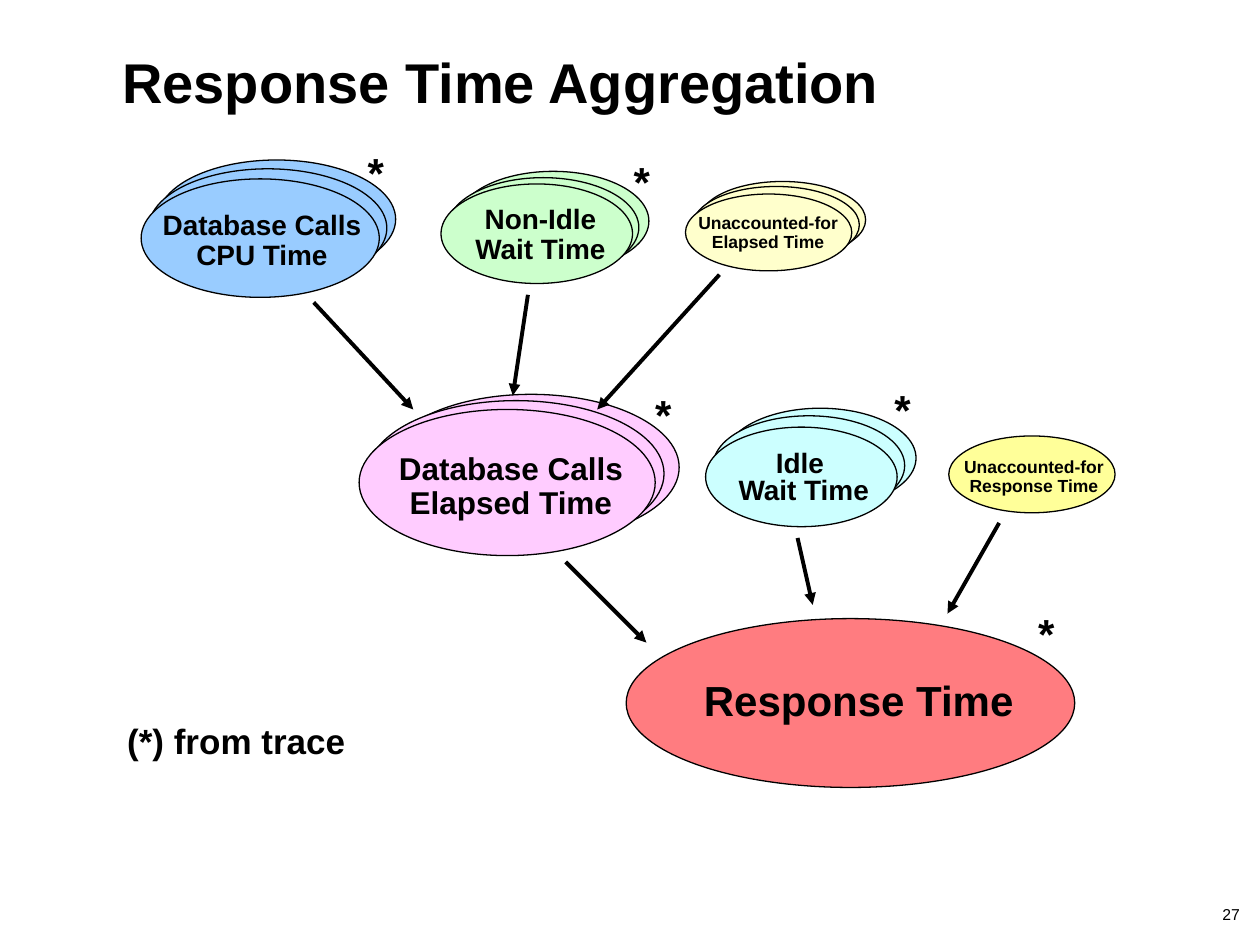
import pptx
import pptx.util
import pptx.dml.color
import pptx.enum.shapes
import pptx.enum.text
import pptx.oxml
import pptx.oxml.ns
from lxml import etree

COLORS = {
    "ink": "000000", "cpu": "99CCFF", "wait": "CCFFCC", "gap": "FFFFCC",
    "elapsed": "FFCCFF", "idle": "CCFFFF", "rest": "FFFF99", "response": "FF7C80",
}
ALIGN = pptx.enum.text.PP_ALIGN
ANCHOR = pptx.enum.text.MSO_ANCHOR

presentation = pptx.Presentation()
presentation.slide_width = pptx.util.Inches(10)
presentation.slide_height = pptx.util.Inches(7.5)
slide = presentation.slides.add_slide(presentation.slide_layouts[6])

# The grid has 100 columns and 75 rows of square cells.
CELL = presentation.slide_width / 100


def grid(*cells):
    """Turn grid columns and rows into slide lengths."""
    return [pptx.util.Emu(round(cell * CELL)) for cell in cells]


def add_text(box, lines, size, bold=True, align=ALIGN.CENTER, spacing=0.9,
             before=0, margins=(1, 0.5, 1, 0.5), anchor=ANCHOR.TOP):
    """Add a text box with one paragraph for each line."""
    frame = slide.shapes.add_textbox(*grid(*box)).text_frame
    frame.word_wrap = True
    frame.vertical_anchor = anchor
    (frame.margin_left, frame.margin_top,
     frame.margin_right, frame.margin_bottom) = grid(*margins)
    for index, line in enumerate(lines):
        paragraph = frame.add_paragraph() if index else frame.paragraphs[0]
        paragraph.alignment = align
        paragraph.line_spacing = spacing
        paragraph.space_before = pptx.util.Pt(before)
        run = paragraph.add_run()
        run.text = line
        run.font.name = "Arial"
        run.font.size = pptx.util.Pt(size)
        run.font.bold = bold
        run.font.color.rgb = pptx.dml.color.RGBColor.from_string(COLORS["ink"])


# Color, front ellipse, offsets of the ellipses behind it from back to front
stacks = [
    ("idle", (56, 33.9, 15.2, 7.9), [(1.5, -1.5), (0.6, -0.9)]),
    ("elapsed", (28.5, 32.5, 23.5, 11.6), [(1.9, -1.2), (0.7, -0.7)]),
    ("gap", (54.4, 15.4, 13.2, 6.1), [(1.1, -1), (0.6, -0.6)]),
    ("wait", (35, 14.6, 15.2, 7.9), [(1.3, -1), (0.5, -0.5)]),
    ("cpu", (11.2, 14.2, 18.9, 9.4), [(1.3, -1.5), (0.6, -0.8)]),
    ("response", (49.7, 49.1, 35.6, 13.4), []),
    ("rest", (75.3, 34.6, 13.2, 6.1), []),
]
for color, (left, top, width, height), offsets in stacks:
    for right, down in offsets + [(0, 0)]:
        ellipse = slide.shapes.add_shape(
            pptx.enum.shapes.MSO_SHAPE.OVAL,
            *grid(left + right, top + down, width, height))
        ellipse.shadow.inherit = False
        ellipse.fill.solid()
        ellipse.fill.fore_color.rgb = pptx.dml.color.RGBColor.from_string(COLORS[color])
        ellipse.line.color.rgb = pptx.dml.color.RGBColor.from_string(COLORS["ink"])
        ellipse.line.width = pptx.util.Pt(0.75)

add_text((9.7, 3.3, 82.9, 10.3), ["Response Time Aggregation"], 32,
         align=ALIGN.LEFT, spacing=1, margins=(0, 0.5, 0, 0))

labels = [
    ((53.5, 53.5, 29.3, 4.6), "Response Time", 24),
    ((28.4, 35.5, 24.3, 6.4), "Database Calls Elapsed Time", 18),
    ((73.3, 35.9, 17.5, 4), "Unaccounted-for Response Time", 10),
    ((52.2, 16.5, 17.5, 4), "Unaccounted-for Elapsed Time", 10),
    ((11.3, 16.3, 19, 5.8), "Database Calls CPU Time", 16),
    ((35.3, 15.8, 15.2, 5.8), "Non-Idle Wait Time", 16),
    ((7.2, 57, 23.1, 4), "(*) from trace", 20),
]
for box, text, size in labels:
    add_text(box, [text], size)
add_text((55.8, 36.2, 16, 4.5), ["Idle ", "Wait Time"], 16, spacing=0.4, before=8)

arrows = [
    (44.9, 44.6, 51.3, 51), (24.9, 24, 32.8, 32.5), (57.1, 21.8, 47.4, 32.5),
    (79.3, 41.5, 75.2, 48.7), (63.3, 42.7, 64.5, 48), (41.9, 23.4, 40.7, 31.4),
]
for ends in arrows:
    arrow = slide.shapes.add_connector(
        pptx.enum.shapes.MSO_CONNECTOR.STRAIGHT, *grid(*ends))
    arrow.line.color.rgb = pptx.dml.color.RGBColor.from_string(COLORS["ink"])
    arrow.line.width = pptx.util.Pt(2.25)
    etree.SubElement(arrow.line._get_or_add_ln(),
                     pptx.oxml.ns.qn("a:tailEnd"), type="triangle")
    etree.SubElement(arrow._element.spPr, pptx.oxml.ns.qn("a:effectLst"))

for left, top in [(28.2, 11.6), (49.3, 12.3), (51, 30.8), (70, 30.4), (81.4, 48.2)]:
    add_text((left, top, 3.2, 4.6), ["*"], 24)

add_text((1.7, 71.7, 96.7, 1.7), ["27"], 9, bold=False, align=ALIGN.RIGHT,
         spacing=1, margins=(0, 0, 0, 0), anchor=ANCHOR.MIDDLE)

presentation.save("out.pptx")
